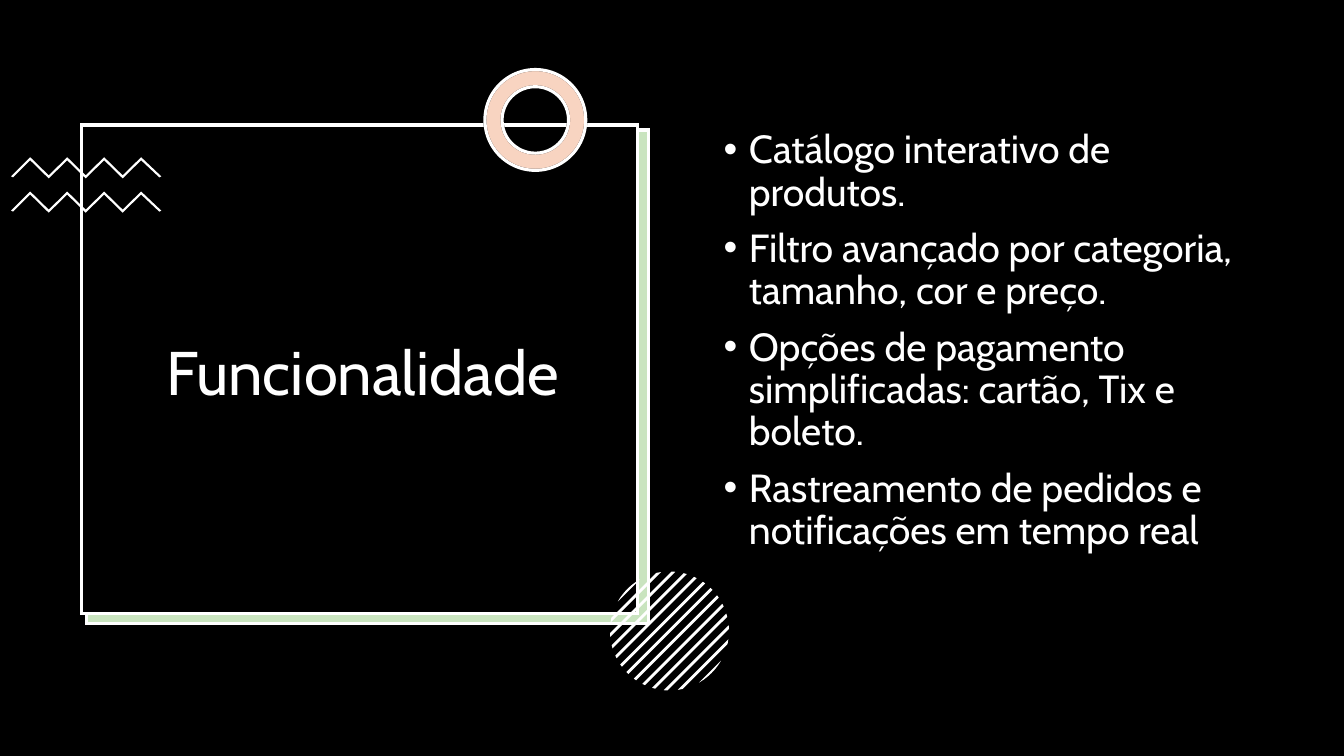
import math

import pptx
import pptx.util
import pptx.dml.color
import pptx.enum.shapes
import pptx.enum.text
import pptx.oxml.ns
from lxml import etree

Inches = pptx.util.Inches
Pt = pptx.util.Pt
RGBColor = pptx.dml.color.RGBColor
MSO_SHAPE = pptx.enum.shapes.MSO_SHAPE
qn = pptx.oxml.ns.qn

BLACK = RGBColor(0x00, 0x00, 0x00)
WHITE = RGBColor(0xFF, 0xFF, 0xFF)
GREEN = RGBColor(0x4E, 0xA7, 0x2E)
ORANGE = RGBColor(0xE9, 0x71, 0x32)

FEATURES = [
    "Catálogo interativo de produtos.",
    "Filtro avançado por categoria, tamanho, cor e preço.",
    "Opções de pagamento simplificadas: cartão, Tix e boleto.",
    "Rastreamento de pedidos e notificações em tempo real",
]


class SlideBuilder:
    """Draws elements on one slide in a shared style."""

    font = "Cabin"
    line_width = 2.25

    def __init__(self, s):
        self.s = s

    def paint(self, sp, fill, line=None, alpha=None):
        sp.shadow.inherit = False
        sp.fill.solid()
        sp.fill.fore_color.rgb = fill
        if alpha is not None:
            color = sp._element.spPr.find(qn("a:solidFill"))[0]
            etree.SubElement(color, qn("a:alpha")).set("val", str(alpha * 1000))
        if line is None:
            sp.line.fill.background()
        else:
            sp.line.color.rgb = line
            sp.line.width = Pt(self.line_width)
            ln = sp._element.spPr.find(qn("a:ln"))
            etree.SubElement(ln, qn("a:miter")).set("lim", "800000")

    def shape(self, kind, box, fill, line=None, alpha=None):
        sp = self.s.shapes.add_shape(kind, *map(Inches, box))
        self.paint(sp, fill, line, alpha)
        return sp

    def ring(self, box, thickness, fill, line, alpha=None):
        sp = self.shape(MSO_SHAPE.DONUT, box, fill, line, alpha)
        sp.adjustments[0] = thickness

    def polygons(self, outlines, fill):
        group = self.s.shapes.add_group_shape()
        for outline in outlines:
            points = [(Inches(x), Inches(y)) for x, y in outline]
            builder = group.shapes.build_freeform(*points[0])
            builder.add_line_segments(points[1:], close=True)
            self.paint(builder.convert_to_shape(), fill)

    def text(self, box, paragraphs, size, anchor, align, bullets=False):
        tf = self.s.shapes.add_textbox(*map(Inches, box)).text_frame
        tf.word_wrap = True
        tf.vertical_anchor = anchor
        for i, words in enumerate(paragraphs):
            p = tf.add_paragraph() if i else tf.paragraphs[0]
            p.alignment = align
            p.line_spacing = 0.9
            if bullets:
                p.space_before = Pt(10)
                self.bullet(p)
            r = p.add_run()
            r.text = words
            r.font.name = self.font
            r.font.size = Pt(size)
            r.font.color.rgb = WHITE

    def bullet(self, p):
        pPr = p._p.get_or_add_pPr()
        pPr.set("marL", str(Inches(0.25)))
        pPr.set("indent", str(-Inches(0.25)))
        etree.SubElement(pPr, qn("a:buFont")).set("typeface", "Arial")
        etree.SubElement(pPr, qn("a:buChar")).set("char", "•")


def zigzag(top):
    """Return the outline of a thin zigzag band."""
    step = 1.1 / 6
    ridge = [(0.3 + step * i, top + 0.18 * (i % 2)) for i in range(7)]
    underside = [(x, y + 0.03) for x, y in reversed(ridge)]
    return ([(0.11, top + 0.19)] + ridge + [(1.6, top + 0.19), (1.58, top + 0.2)]
            + underside + [(0.13, top + 0.2)])


def stripe(index, cx=6.64, cy=6.26, radius=0.59):
    """Return the outline of one diagonal stripe cut by a circle."""
    middle = index * 0.55 / 4 / math.sqrt(2)
    half = 0.02 / math.sqrt(2)
    near, far = [math.acos(max(-1, min(1, (middle + d) / radius))) for d in (-half, half)]
    arc = [near + (far - near) * i / 6 for i in range(7)]
    angles = arc + [-a for a in reversed(arc)]
    return [(cx + radius * math.cos(a + math.pi / 4),
             cy + radius * math.sin(a + math.pi / 4)) for a in angles]


def main():
    """Build and save the slide."""
    prs = pptx.Presentation()
    prs.slide_width = Inches(13.33)
    prs.slide_height = Inches(7.5)
    slide = SlideBuilder(prs.slides.add_slide(prs.slide_layouts[6]))
    anchors = pptx.enum.text.MSO_ANCHOR
    aligns = pptx.enum.text.PP_ALIGN

    slide.shape(MSO_SHAPE.RECTANGLE, (0, 0, 13.33, 7.5), BLACK)
    slide.shape(MSO_SHAPE.RECTANGLE, (0.85, 1.3, 5.57, 4.9), WHITE)
    slide.shape(MSO_SHAPE.RECTANGLE, (0.86, 1.29, 5.57, 4.9), GREEN, WHITE, 30)
    slide.shape(MSO_SHAPE.RECTANGLE, (0.81, 1.24, 5.51, 4.85), BLACK, WHITE)
    slide.polygons([zigzag(top) for top in (1.56, 1.9)], WHITE)

    ring_box = (4.81, 0.69, 1, 1)
    slide.ring(ring_box, 0.17, WHITE, BLACK)
    slide.ring(ring_box, 0.17, ORANGE, WHITE, 30)
    slide.polygons([stripe(i) for i in range(-6, 7)], WHITE)

    slide.text((0.92, 1.52, 5.36, 4.42), ["Funcionalidade"], 44,
               anchors.MIDDLE, aligns.CENTER)
    slide.text((7.08, 1.24, 5.44, 4.76), FEATURES, 28,
               anchors.TOP, aligns.LEFT, bullets=True)
    prs.save("out.pptx")


if __name__ == "__main__":
    main()
